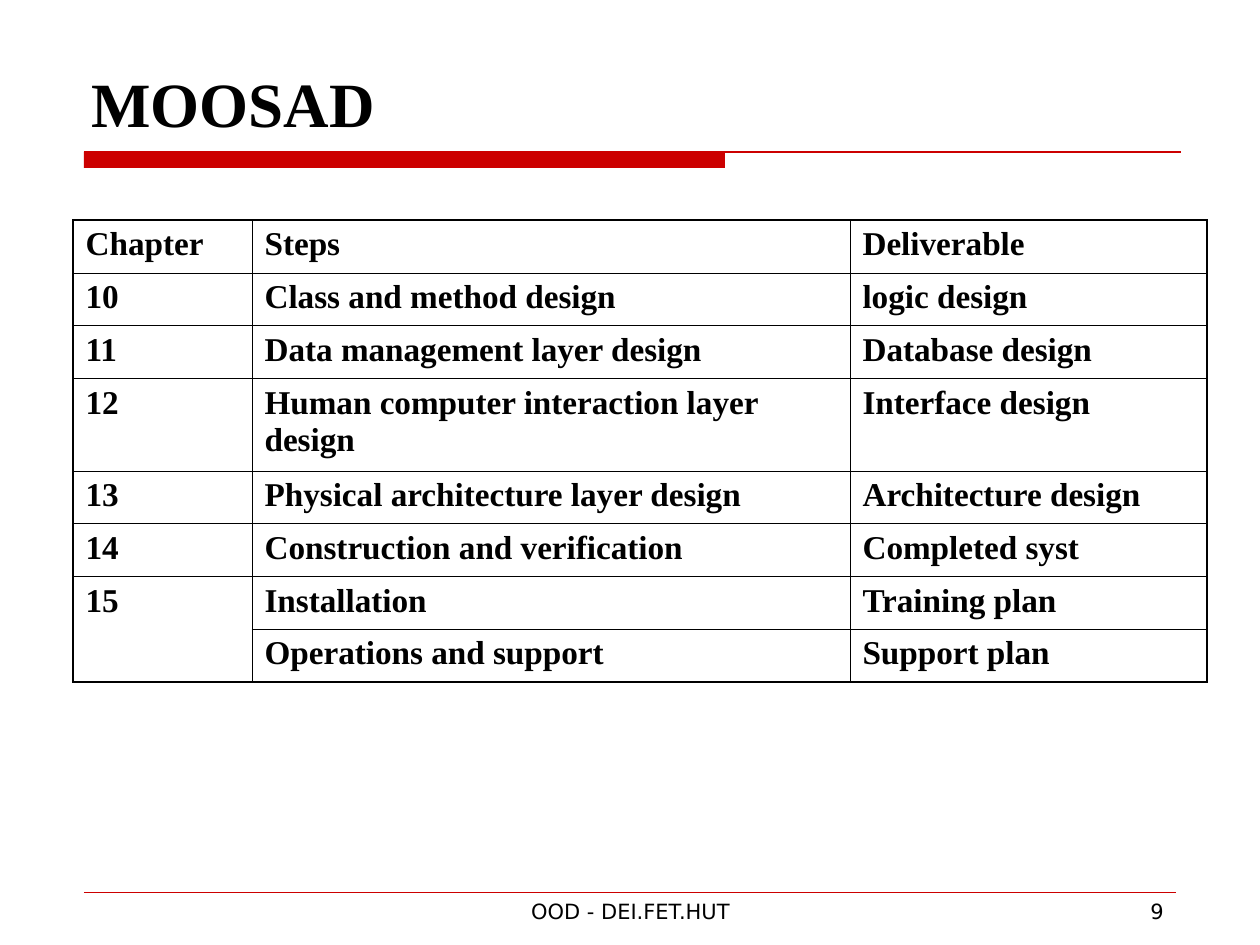
from itertools import pairwise

from lxml.etree import SubElement
from pptx import Presentation
from pptx.dml.color import RGBColor
from pptx.enum.shapes import MSO_CONNECTOR as Connector, MSO_SHAPE as Shape
from pptx.enum.text import MSO_ANCHOR as Anchor, PP_ALIGN as Align
from pptx.oxml.ns import qn
from pptx.util import Emu, Pt

PX = 914400 / 126
COLORS = {"ink": "000000", "accent": "CC0000"}
SERIF = "Times New Roman"
SANS = "DejaVu Sans"
THIN, THICK = 0.45, 1.08

COLUMN_WIDTHS = [179, 598, 357]
ROW_EDGES = [0, 53, 105, 158, 250, 302, 355, 407, 460]
STEPS = [
    ("Chapter", "Steps", "Deliverable"),
    ("10", "Class and method design", "logic design"),
    ("11", "Data management layer design", "Database design"),
    ("12", "Human computer interaction layer design", "Interface design"),
    ("13", "Physical architecture layer design", "Architecture design"),
    ("14", "Construction and verification", "Completed syst"),
    ("15", "Installation", "Training plan"),
    ("", "Operations and support", "Support plan"),
]


def px(length):
    return Emu(round(length * PX))


def color(name):
    return RGBColor.from_string(COLORS[name])


def write(frame, text, font, size, bold=False, align=Align.LEFT):
    frame.text = text
    para = frame.paragraphs[0]
    para.alignment = align
    for span in para.runs:
        span.font.name = font
        span.font.size = Pt(size)
        span.font.bold = bold
        span.font.color.rgb = color("ink")


def add_text(page, box, text, font, size, bold=False, align=Align.LEFT, anchor=Anchor.TOP):
    frame = page.shapes.add_textbox(*map(px, box)).text_frame
    frame.word_wrap = True
    frame.vertical_anchor = anchor
    write(frame, text, font, size, bold, align)


def add_rule(page, left, top, width, weight):
    rule = page.shapes.add_connector(
        Connector.STRAIGHT, px(left), px(top), px(left + width), px(top))
    rule.line.color.rgb = color("accent")
    rule.line.width = Pt(weight)
    SubElement(rule._element.spPr, qn("a:effectLst"))


def add_header(page, box):
    left, top, width, height = box
    add_text(page, (left - 5, top, width, height - 22), "MOOSAD", SERIF, 36,
             bold=True, anchor=Anchor.BOTTOM)
    bar_top = top + height - 16
    bar = page.shapes.add_shape(
        Shape.RECTANGLE, px(left), px(bar_top), px(641), px(16))
    bar.shadow.inherit = False
    bar.fill.solid()
    bar.fill.fore_color.rgb = color("accent")
    bar.line.fill.background()
    add_rule(page, left, bar_top, width - 6, 0.75)


def set_borders(cell, weights):
    properties = cell._tc.get_or_add_tcPr()
    for side, weight in weights.items():
        border = SubElement(properties, qn(f"a:ln{side}"), w=str(Pt(weight)))
        fill = SubElement(border, qn("a:solidFill"))
        SubElement(fill, qn("a:srgbClr"), val=COLORS["ink"])


def add_steps_table(page, box):
    row_count, column_count = len(STEPS), len(COLUMN_WIDTHS)
    table = page.shapes.add_table(row_count, column_count, *map(px, box)).table
    table.first_row = table.horz_banding = False
    for column, width in zip(table.columns, COLUMN_WIDTHS):
        column.width = px(width)
    for row, (top, bottom) in zip(table.rows, pairwise(ROW_EDGES)):
        row.height = px(bottom - top)
    table.cell(6, 0).merge(table.cell(7, 0))
    for row, texts in enumerate(STEPS):
        for column, text in enumerate(texts):
            cell = table.cell(row, column)
            if cell.is_spanned:
                continue
            last_row = row + cell.span_height == row_count
            set_borders(cell, {
                "L": THICK if column == 0 else THIN,
                "R": THICK if column == column_count - 1 else THIN,
                "T": THICK if row == 0 else THIN,
                "B": THICK if last_row else THIN,
            })
            cell.fill.background()
            write(cell.text_frame, text, SERIF, 19, bold=True)


def add_footer(page, box):
    left, top, width, height = box
    add_rule(page, left, top, width, 0.25)
    add_text(page, (left + 347, top, 399, height), "OOD - DEI.FET.HUT", SANS, 12,
             align=Align.CENTER)
    add_text(page, (left + width - 273, top, 273, height), "9", SANS, 12,
             align=Align.RIGHT)


def main():
    deck = Presentation()
    deck.slide_width, deck.slide_height = px(1260), px(945)
    page = deck.slides.add_slide(deck.slide_layouts[6])
    add_header(page, (84, 10, 1103, 158))
    add_steps_table(page, (73, 220, sum(COLUMN_WIDTHS), ROW_EDGES[-1]))
    add_footer(page, (84, 892, 1092, 34))
    deck.save("out.pptx")


if __name__ == "__main__":
    main()
